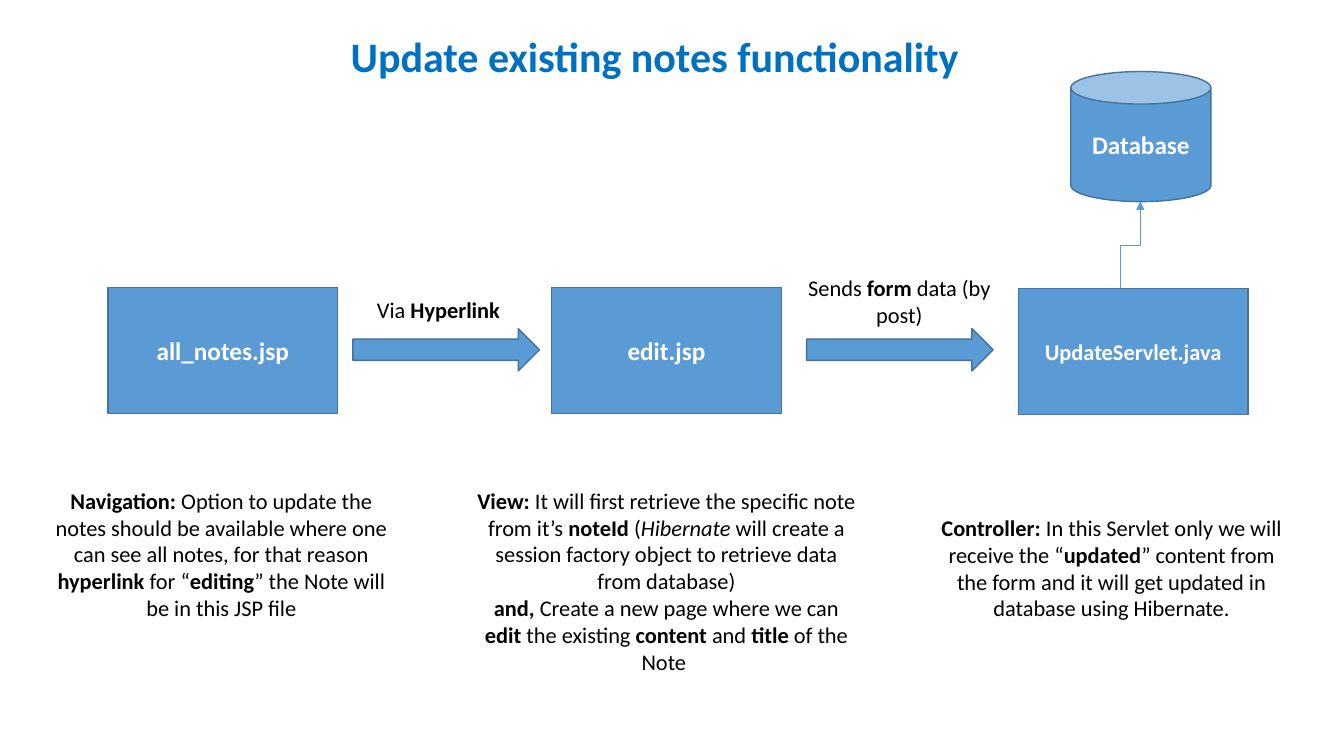
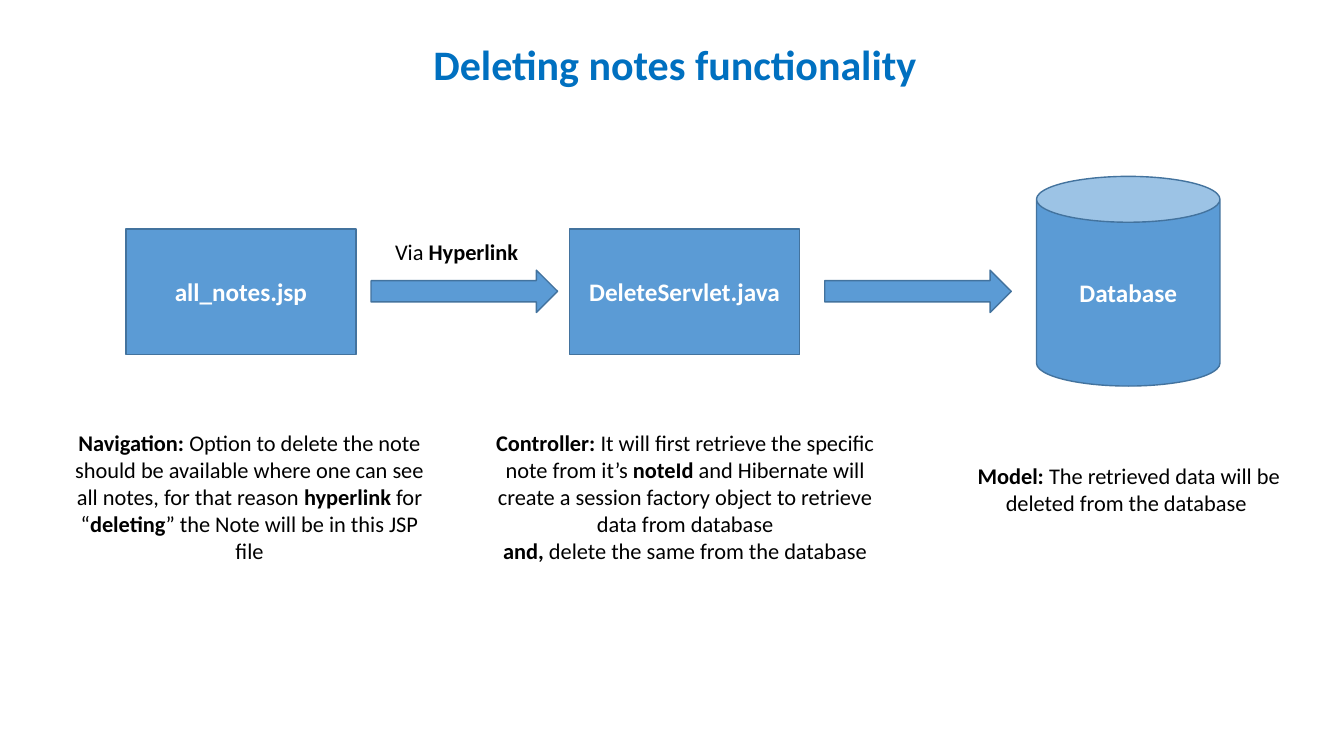
from lxml.etree import SubElement
from pptx import Presentation
from pptx.dml.color import RGBColor
from pptx.enum.shapes import MSO_CONNECTOR, MSO_SHAPE
from pptx.enum.text import MSO_ANCHOR, MSO_AUTO_SIZE, PP_ALIGN
from pptx.oxml.ns import qn
from pptx.util import Inches, Pt

BLUE, EDGE, TITLE = "5B9BD5", "43739E", "0070C0"
WHITE, BLACK = "FFFFFF", "000000"


def rgb(value):
    """Turn a hex string into a colour."""
    return RGBColor.from_string(value)


def apply(target, values):
    """Set each attribute named in values on target."""
    for name, value in values.items():
        setattr(target, name, value)


class Deck:
    """Holds the presentation, the shared style and the current slide."""

    font = "Calibri"

    def __init__(self):
        """Start an empty widescreen presentation."""
        self.prs = Presentation()
        apply(self.prs, {"slide_width": Inches(13.33), "slide_height": Inches(7.5)})

    def fill_text(self, tf, text, size, color, bold=False, align=PP_ALIGN.CENTER):
        """Fill a text frame; *stars* toggle bold and ~tildes~ toggle italic."""
        for i, line in enumerate(text.split("\n")):
            p = tf.add_paragraph() if i else tf.paragraphs[0]
            p.alignment = align
            for j, strong in enumerate(line.split("*")):
                for k, part in enumerate(strong.split("~")):
                    if part:
                        r = p.add_run()
                        r.text = part
                        apply(r.font, {"name": self.font, "size": Pt(size),
                                       "bold": bold or j % 2 == 1, "italic": k % 2 == 1})
                        r.font.color.rgb = rgb(color)

    def text(self, x, y, w, h, text, size=16, color=BLACK, wrap=True, **style):
        """Add a text box."""
        tf = self.s.shapes.add_textbox(Inches(x), Inches(y), Inches(w), Inches(h)).text_frame
        apply(tf, {"word_wrap": wrap, "auto_size": MSO_AUTO_SIZE.SHAPE_TO_FIT_TEXT})
        self.fill_text(tf, text, size, color, **style)

    def slide(self, title, x, y, w):
        """Start a blank slide with its title."""
        self.s = self.prs.slides.add_slide(self.prs.slide_layouts[6])
        self.text(x, y, w, 0.61, title, 30, TITLE, wrap=False, bold=True, align=PP_ALIGN.LEFT)

    def shape(self, kind, x, y, w, h, text="", size=18):
        """Add a blue preset shape with an optional bold caption."""
        sp = self.s.shapes.add_shape(kind, Inches(x), Inches(y), Inches(w), Inches(h))
        sp.shadow.inherit = False
        sp.fill.solid()
        sp.fill.fore_color.rgb = rgb(BLUE)
        sp.line.color.rgb = rgb(EDGE)
        sp.line.width = Pt(1)
        apply(sp.text_frame, {"word_wrap": True, "vertical_anchor": MSO_ANCHOR.MIDDLE})
        self.fill_text(sp.text_frame, text, size, WHITE, bold=True)

    def box(self, x, y, text, size=18):
        """Add a component box."""
        self.shape(MSO_SHAPE.RECTANGLE, x, y, 2.28, 1.25, text, size)

    def database(self, x, y, w, h):
        """Add the database cylinder."""
        self.shape(MSO_SHAPE.CAN, x, y, w, h, "Database")

    def flow(self, x, y, target):
        """Add the notes page, the linked target and the two arrows."""
        self.box(x, y, "all_notes.jsp")
        self.box(x + 4.4, y, target)
        for step in (2.43, 6.93):
            self.shape(MSO_SHAPE.RIGHT_ARROW, x + step, y + 0.41, 1.85, 0.42)
        self.text(x + 2.57, y + 0.04, 1.44, 0.37, "Via *Hyperlink*",
                  wrap=False, align=PP_ALIGN.LEFT)

    def riser(self, x1, y1, x2, y2):
        """Add an elbow arrow that leaves and arrives vertically."""
        cx, cy = (x1 + x2) / 2, (y1 + y2) / 2
        dx, dy = x1 - cx, y1 - cy
        ends = (cx + dy, cy - dx, cx - dy, cy + dx)
        c = self.s.shapes.add_connector(MSO_CONNECTOR.ELBOW, *map(Inches, ends))
        c.line.color.rgb = rgb(BLUE)
        c.line.width = Pt(0.5)
        props = c._element.spPr
        props.find(qn("a:xfrm")).set("rot", str(90 * 60000))
        SubElement(props.find(qn("a:ln")), qn("a:tailEnd"), type="triangle")
        SubElement(props, qn("a:effectLst"))


def update_slide(deck):
    """Build the slide on updating notes."""
    deck.slide("Update existing notes functionality ", 3.38, 0.25, 6.6)
    deck.flow(1.07, 2.85, "edit.jsp")
    deck.text(7.81, 2.67, 2.22, 0.64, "Sends *form* data (by post)")
    deck.box(10.1, 2.86, "UpdateServlet.java", 16)
    deck.riser(11.11, 2.86, 11.31, 2)
    deck.database(10.62, 0.71, 1.39, 1.29)
    deck.text(0.37, 4.78, 3.65, 1.45,
              "*Navigation:* Option to update the notes should be available where one can "
              "see all notes, for that reason *hyperlink* for “*editing*” the Note will be "
              "in this JSP file")
    deck.text(4.61, 4.78, 4, 1.99,
              "*View: *It will first retrieve the specific note from it’s *noteId *"
              "(~Hibernate~ will create a session factory object to retrieve data from "
              "database)\n*and, *Create a new page where we can *edit* the existing "
              "*content* and *title* of the Note ")
    deck.text(9.2, 5.05, 3.65, 1.18,
              "*Controller: *In this Servlet only we will receive the “*updated*” content "
              "from the form and it will get updated in database using Hibernate.")


def delete_slide(deck):
    """Build the slide on deleting notes."""
    deck.slide("Deleting notes functionality ", 4.2, 0.33, 5.35)
    deck.flow(1.25, 2.27, "DeleteServlet.java")
    deck.database(10.28, 1.75, 1.82, 2.08)
    deck.text(0.56, 4.21, 3.83, 1.45,
              "*Navigation:* Option to delete the note should be available where one can "
              "see all notes, for that reason *hyperlink* for “*deleting*” the Note will be "
              "in this JSP file")
    deck.text(4.64, 4.21, 4.31, 1.45,
              "*Controller: *It will first retrieve the specific note from it’s *noteId *"
              "and Hibernate will create a session factory object to retrieve data from "
              "database\n*and, *delete the same from the database")
    deck.text(9.37, 4.54, 3.65, 0.64,
              "*Model: *The retrieved data will be deleted from the database ")


deck = Deck()
update_slide(deck)
delete_slide(deck)
deck.prs.save("out.pptx")
